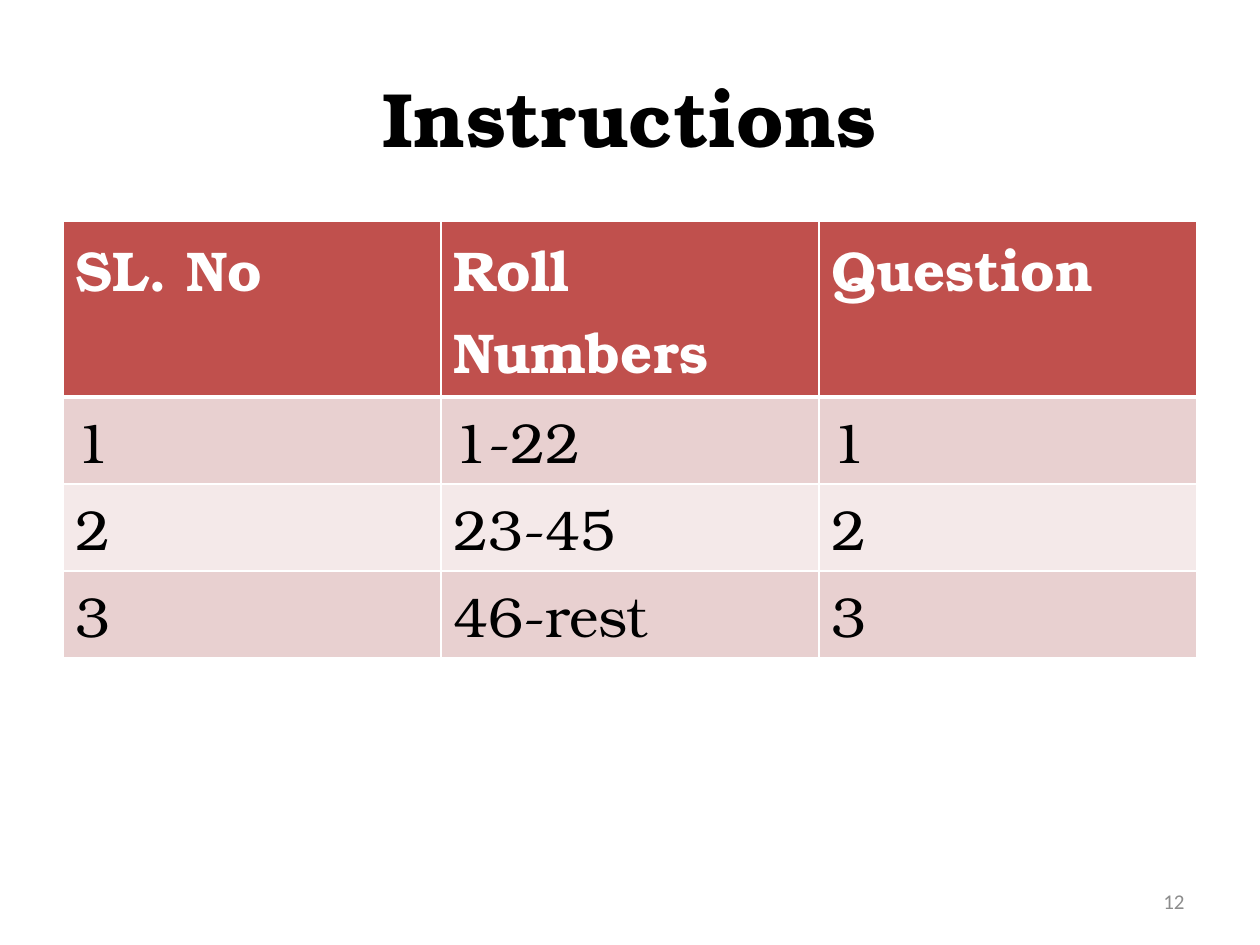
import pptx
import pptx.util
import pptx.dml.color
import pptx.enum.text
import pptx.oxml.ns
import lxml.etree

HUES = {"head": "C0504D", "odd": "E8D0D0", "even": "F4E9E9",
        "white": "FFFFFF", "black": "000000", "gray": "8C8C8C"}
SERIF = "TeX Gyre Bonum"
ALIGN = pptx.enum.text.PP_ALIGN
MIDDLE = pptx.enum.text.MSO_ANCHOR.MIDDLE


def px(n):
    return pptx.util.Emu(round(n * 914400 / 126))


def write(frame, text, size, hue, font=SERIF, bold=False, align=ALIGN.LEFT):
    frame.word_wrap = True
    para = frame.paragraphs[0]
    para.alignment = align
    run = para.add_run()
    run.text = text
    run.font.name = font
    run.font.size = pptx.util.Pt(size)
    run.font.bold = bold
    run.font.color.rgb = pptx.dml.color.RGBColor.from_string(HUES[hue])


deck = pptx.Presentation()
deck.slide_width, deck.slide_height = px(1260), px(945)
slide = deck.slides.add_slide(deck.slide_layouts[6])

# Title
title = slide.shapes.add_textbox(px(63), px(38), px(1134), px(157)).text_frame
title.vertical_anchor = MIDDLE
write(title, "Instructions", 44, "black", bold=True, align=ALIGN.CENTER)

# Table
rows = [("SL. No", "Roll Numbers", "Question"),
        ("1", "1-22", "1"),
        ("2", "23-45", "2"),
        ("3", "46-rest", "3")]
table = slide.shapes.add_table(len(rows), 3, px(63), px(221), px(1134), px(437)).table
for col in table.columns:
    col.width = px(378)
for r, row in enumerate(rows):
    head = r == 0
    table.rows[r].height = px(176 if head else 87)
    fill = "head" if head else "odd" if r % 2 else "even"
    for c, text in enumerate(row):
        cell = table.cell(r, c)
        write(cell.text_frame, text, 32, "white" if head else "black", bold=head)

        # Borders come before the fill in the cell's XML
        props = cell._tc.get_or_add_tcPr()
        for side in ("lnL", "lnR", "lnT", "lnB"):
            thick = (r, side) in ((0, "lnB"), (1, "lnT"))
            line = lxml.etree.SubElement(props, pptx.oxml.ns.qn("a:" + side),
                                         w=str(pptx.util.Pt(3 if thick else 1)))
            solid = lxml.etree.SubElement(line, pptx.oxml.ns.qn("a:solidFill"))
            lxml.etree.SubElement(solid, pptx.oxml.ns.qn("a:srgbClr"), val=HUES["white"])
        cell.fill.solid()
        cell.fill.fore_color.rgb = pptx.dml.color.RGBColor.from_string(HUES[fill])

# Page number
page = slide.shapes.add_textbox(px(903), px(876), px(294), px(50)).text_frame
page.vertical_anchor = MIDDLE
write(page, "12", 12, "gray", font="Calibri", align=ALIGN.RIGHT)

deck.save("out.pptx")
